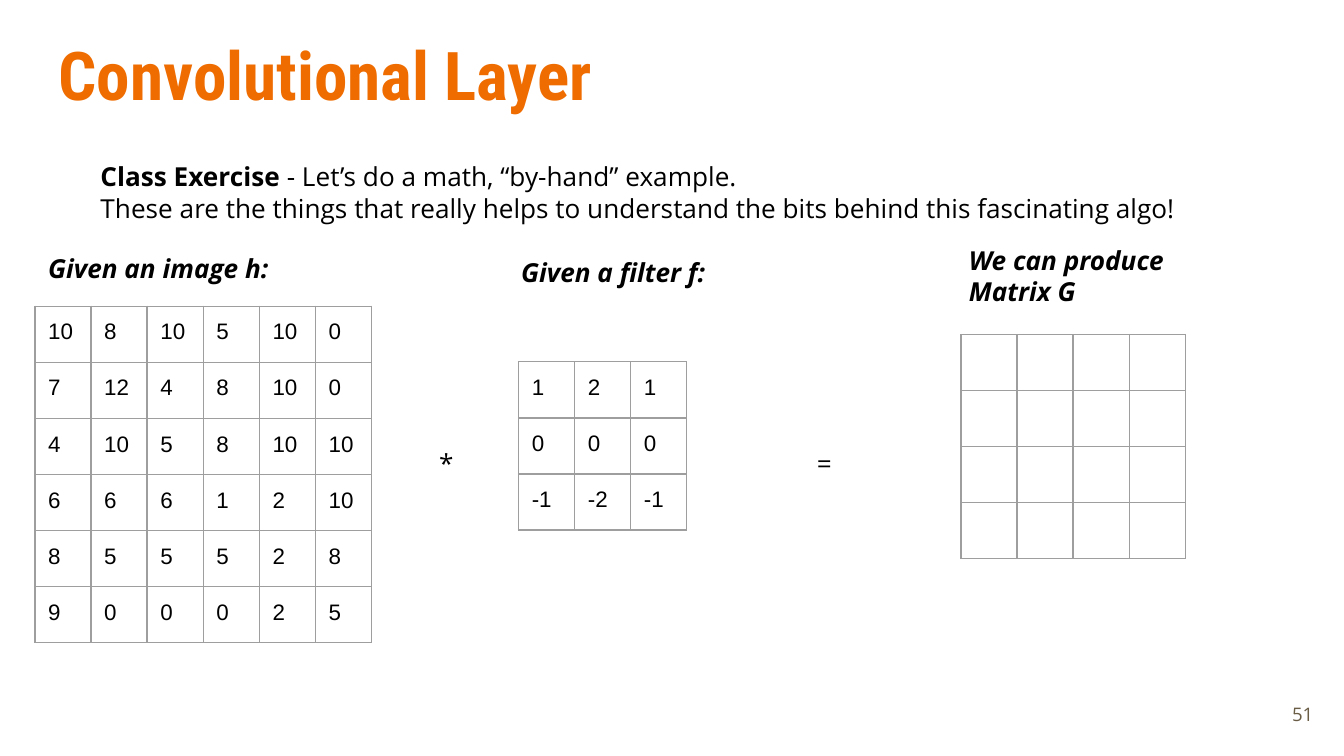
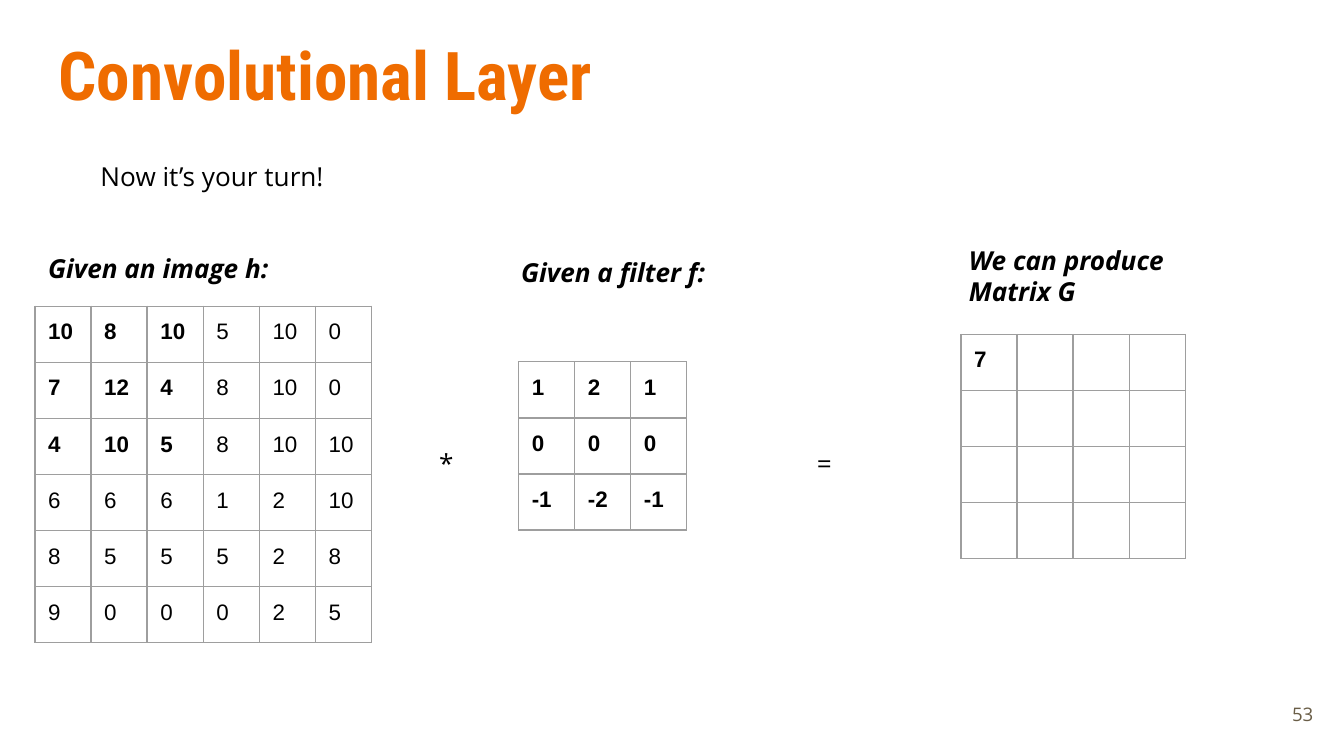
from dataclasses import dataclass

from lxml import etree
from pptx import Presentation
from pptx import util as u
from pptx.dml.color import RGBColor
from pptx.enum import text
from pptx.oxml import ns


@dataclass(frozen=True)
class Theme:
    title: str = "EF6C00"
    ink: str = "000000"
    foot: str = "695D46"
    rule: str = "9E9E9E"
    head: str = "Roboto Condensed"
    body: str = "Open Sans"
    grid: str = "Arial"
    big: int = 36
    mid: int = 14
    cell: int = 12
    small: int = 10
    line: float = 0.75
    pad: float = 0.25
    side: float = 1.06


T = Theme()
IMAGE = [
    [10, 8, 10, 5, 10, 0],
    [7, 12, 4, 8, 10, 0],
    [4, 10, 5, 8, 10, 10],
    [6, 6, 6, 1, 2, 10],
    [8, 5, 5, 5, 2, 8],
    [9, 0, 0, 0, 2, 5],
]
FILTER = [[1, 2, 1], [0, 0, 0], [-1, -2, -1]]


def style(run, face, size, color, bold=False, italic=False):
    font = run.font
    font.name, font.size = face, u.Pt(size)
    font.bold, font.italic = bold, italic
    font.color.rgb = RGBColor.from_string(color)


def pad(part):
    part.margin_left = part.margin_right = u.Cm(T.pad)
    part.margin_top = part.margin_bottom = u.Cm(T.pad)


def write(slide, box, lines, face=T.body, size=T.mid, color=T.ink,
          bold=False, italic=False):
    frame = slide.shapes.add_textbox(*map(u.Cm, box)).text_frame
    frame.word_wrap = True
    pad(frame)
    frame.text = "\n".join(lines)
    for para in frame.paragraphs:
        for run in para.runs:
            style(run, face, size, color, bold, italic)
    return frame


def border(cell):
    props = cell._tc.get_or_add_tcPr()
    for edge in ("a:lnL", "a:lnR", "a:lnT", "a:lnB"):
        line = etree.SubElement(props, ns.qn(edge), w=str(u.Pt(T.line)))
        fill = etree.SubElement(line, ns.qn("a:solidFill"))
        etree.SubElement(fill, ns.qn("a:srgbClr"), val=T.rule)


def matrix(slide, left, top, rows, focus):
    count = len(rows)
    box = map(u.Cm, (left, top, count * T.side, count * T.side))
    table = slide.shapes.add_table(count, count, *box).table
    table.first_row = table.horz_banding = False
    for i, row in enumerate(rows):
        table.rows[i].height = table.columns[i].width = u.Cm(T.side)
        for j, value in enumerate(row):
            cell = table.cell(i, j)
            border(cell)
            cell.fill.background()
            if value != "":
                pad(cell)
                cell.text = str(value)
                run = cell.text_frame.paragraphs[0].runs[0]
                style(run, T.grid, T.cell, T.ink, max(i, j) < focus)


def heading(slide, box):
    write(slide, box, ["Convolutional Layer"], T.head, T.big, T.title, True)


def intro(slide, box, lines, lead):
    frame = write(slide, box, lines)
    if lead:
        para = frame.paragraphs[0]
        run = para.runs[0]
        rest = para.add_run()
        rest.text = run.text[len(lead):]
        run.text = lead
        run.font.bold = True
        style(rest, T.body, T.mid, T.ink)


def formula(slide, left, top, result, focus):
    parts = (
        ("Given an image h:", 0, 0.15, 0, 1.42, IMAGE),
        ("Given a filter f:", 8.94, 0.23, 9.14, 2.47, FILTER),
        ("We can produce Matrix G", 17.4, 0, 17.5, 1.95, result),
    )
    for label, x, y, col, row, rows in parts:
        write(slide, (left + x, top + y, 4.9, 1.12), [label],
              bold=True, italic=True)
        matrix(slide, left + col, top + row, rows, focus)
    for sign, x in (("*", 7.39), ("=", 14.53)):
        write(slide, (left + x, top + 3.83, 0.79, 1.12), [sign])


def footer(slide, box, number):
    frame = write(slide, box, [str(number)], size=T.small, color=T.foot)
    frame.vertical_anchor = text.MSO_ANCHOR.MIDDLE
    frame.paragraphs[0].alignment = text.PP_ALIGN.RIGHT


def lesson(deck, number, lines, lead="", answer="", focus=0):
    slide = deck.slides.add_slide(deck.slide_layouts[6])
    result = [[""] * 4 for _ in range(4)]
    result[0][0] = answer
    heading(slide, (0.86, 0.38, 13.61, 3.45))
    intro(slide, (1.65, 2.79, 21.21, 1.12 if len(lines) == 1 else 1.7),
          lines, lead)
    formula(slide, 0.66, 4.37, result, focus)
    footer(slide, (23.55, 12.95, 1.52, 1.09), number)


def main():
    deck = Presentation()
    deck.slide_width, deck.slide_height = u.Cm(25.4), u.Cm(14.29)
    lesson(deck, 51, [
        "Class Exercise - Let’s do a math, “by-hand” example.",
        "These are the things that really helps to understand the bits "
        "behind this fascinating algo!",
    ], lead="Class Exercise")
    lesson(deck, 53, ["Now it’s your turn!"], answer=7, focus=3)
    deck.save("out.pptx")


if __name__ == "__main__":
    main()
